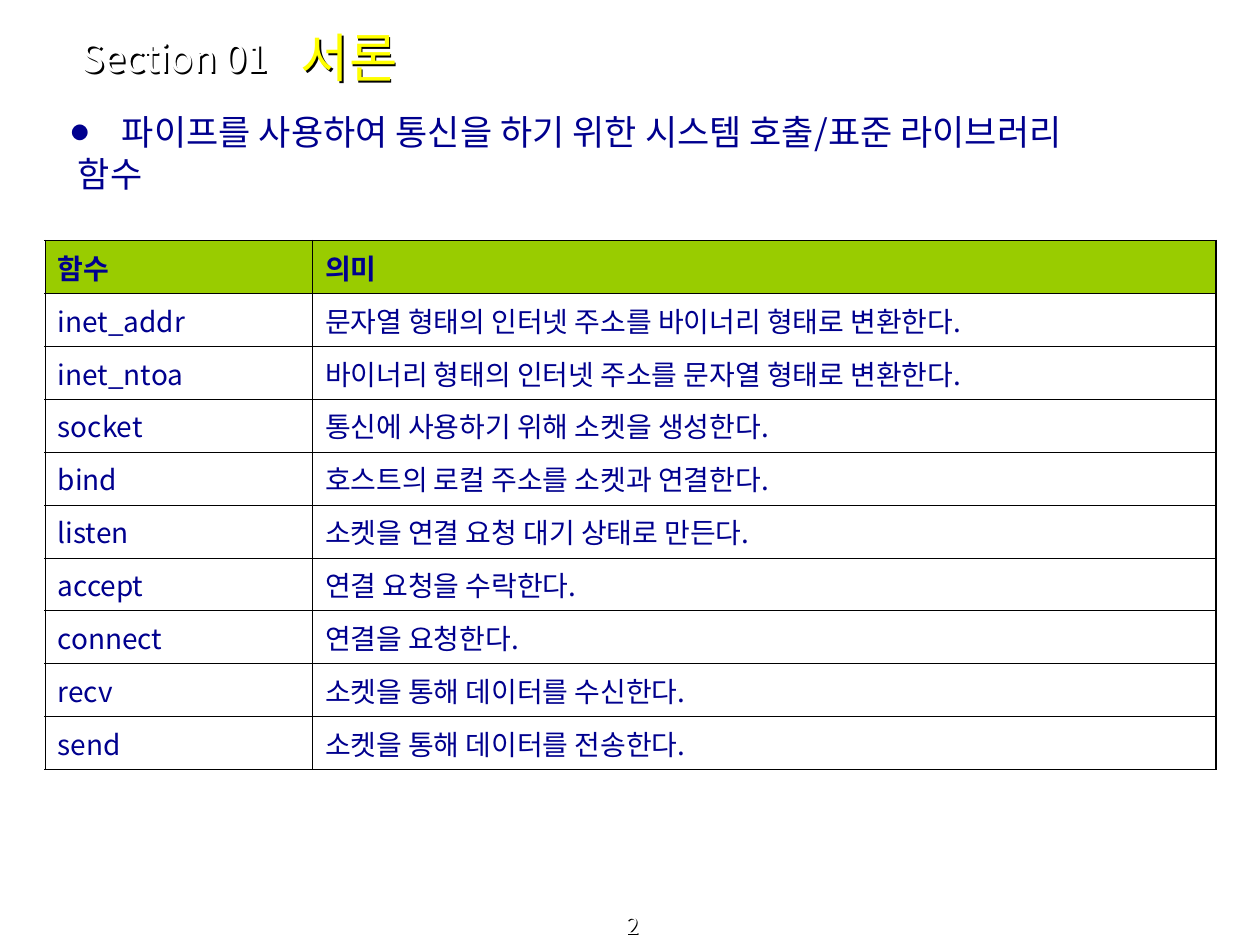
from lxml.etree import SubElement
from pptx import Presentation
from pptx.dml.color import RGBColor
from pptx.enum.text import MSO_ANCHOR as Anchor, PP_ALIGN as Align
from pptx.oxml import parse_xml
from pptx.oxml.ns import nsdecls, qn
from pptx.util import Inches, Pt

FONT = "Noto Sans CJK KR"
NAVY, GREEN, WHITE, YELLOW, BLACK = "00008E", "99CC00", "FFFFFF", "FFFF00", "000000"

SECTION, TITLE, PAGE = "Section 01", "서론", "2"
INTRO = ["파이프를 사용하여 통신을 하기 위한 시스템 호출/표준 라이브러리", "함수"]
FUNCTIONS = [
    ("함수", "의미"),
    ("inet_addr", "문자열 형태의 인터넷 주소를 바이너리 형태로 변환한다."),
    ("inet_ntoa", "바이너리 형태의 인터넷 주소를 문자열 형태로 변환한다."),
    ("socket", "통신에 사용하기 위해 소켓을 생성한다."),
    ("bind", "호스트의 로컬 주소를 소켓과 연결한다."),
    ("listen", "소켓을 연결 요청 대기 상태로 만든다."),
    ("accept", "연결 요청을 수락한다."),
    ("connect", "연결을 요청한다."),
    ("recv", "소켓을 통해 데이터를 수신한다."),
    ("send", "소켓을 통해 데이터를 전송한다."),
]
COLUMN_WIDTHS = (2.12, 7.17)
ROW_HEIGHT = 0.42
OUTER, INNER = 1.08, 0.45


def rgb(color):
    return RGBColor.from_string(color)


def style(paragraph, size, color, bold=False):
    for run in paragraph.runs:
        font = run.font
        font.size, font.bold, font.name = Pt(size), bold, FONT
        font.color.rgb = rgb(color)
        SubElement(run._r.get_or_add_rPr(), qn("a:ea")).set("typeface", FONT)


def add_shadow(box):
    """Cast a shadow from the text of an unfilled box."""
    box._element.spPr.append(parse_xml(
        f'<a:effectLst {nsdecls("a")}><a:outerShdw dist="17961" dir="2700000">'
        f'<a:srgbClr val="{BLACK}"/></a:outerShdw></a:effectLst>'))


def add_text(slide, area, lines, size, color, anchor=Anchor.MIDDLE, align=Align.LEFT, shadow=True):
    box = slide.shapes.add_textbox(*map(Inches, area))
    if shadow:
        add_shadow(box)
    frame = box.text_frame
    frame.word_wrap = True
    frame.vertical_anchor = anchor
    frame.text = "\n".join(lines)
    for paragraph in frame.paragraphs:
        paragraph.alignment = align
        style(paragraph, size, color)
    return frame


def add_bullet(paragraph, margin, indent):
    properties = paragraph._p.get_or_add_pPr()
    properties.set("marL", str(Inches(margin)))
    properties.set("indent", str(Inches(indent)))
    color = SubElement(properties, qn("a:buClr"))
    SubElement(color, qn("a:srgbClr")).set("val", NAVY)
    SubElement(properties, qn("a:buSzPct")).set("val", "50000")
    SubElement(properties, qn("a:buFont")).set("typeface", FONT)
    SubElement(properties, qn("a:buChar")).set("char", "●")


def set_borders(cell, widths):
    """Draw the left, right, top and bottom borders, in that order."""
    properties = cell._tc.get_or_add_tcPr()
    for place, (side, width) in enumerate(zip("LRTB", widths)):
        properties.insert(place, parse_xml(
            f'<a:ln{side} {nsdecls("a")} w="{Pt(width)}"><a:solidFill>'
            f'<a:srgbClr val="{BLACK}"/></a:solidFill></a:ln{side}>'))


def add_function_table(slide, left, top):
    rows, columns = len(FUNCTIONS), len(COLUMN_WIDTHS)
    table = slide.shapes.add_table(
        rows, columns, Inches(left), Inches(top),
        Inches(sum(COLUMN_WIDTHS)), Inches(rows * ROW_HEIGHT)).table
    for column, width in zip(table.columns, COLUMN_WIDTHS):
        column.width = Inches(width)
    for r, entries in enumerate(FUNCTIONS):
        for c, entry in enumerate(entries):
            cell = table.cell(r, c)
            cell.text = entry
            style(cell.text_frame.paragraphs[0], 16, NAVY, bold=r == 0)
            if r == 0:
                cell.fill.solid()
                cell.fill.fore_color.rgb = rgb(GREEN)
            else:
                cell.fill.background()
            on_edge = (c == 0, c == columns - 1, r == 0, r == rows - 1)
            set_borders(cell, [OUTER if edge else INNER for edge in on_edge])


def main():
    deck = Presentation()
    deck.slide_width, deck.slide_height = Inches(10), Inches(7.5)
    slide = deck.slides.add_slide(deck.slide_layouts[6])

    add_text(slide, (0.02, 7.28, 10, 0.22), [PAGE], 13, WHITE, Anchor.BOTTOM, Align.CENTER)
    add_text(slide, (0.55, 0.27, 1.93, 0.37), [SECTION], 22, WHITE)
    intro = add_text(slide, (0.33, 0.83, 9.33, 0.87), INTRO, 20, NAVY, Anchor.TOP, shadow=False)
    first, second = intro.paragraphs
    add_bullet(first, 0.54, -0.4)
    second._p.get_or_add_pPr().set("marL", str(Inches(0.19)))
    add_function_table(slide, 0.36, 1.91)
    add_text(slide, (2.29, 0.11, 6.49, 0.68), [TITLE], 30, YELLOW)

    deck.save("out.pptx")


if __name__ == "__main__":
    main()
